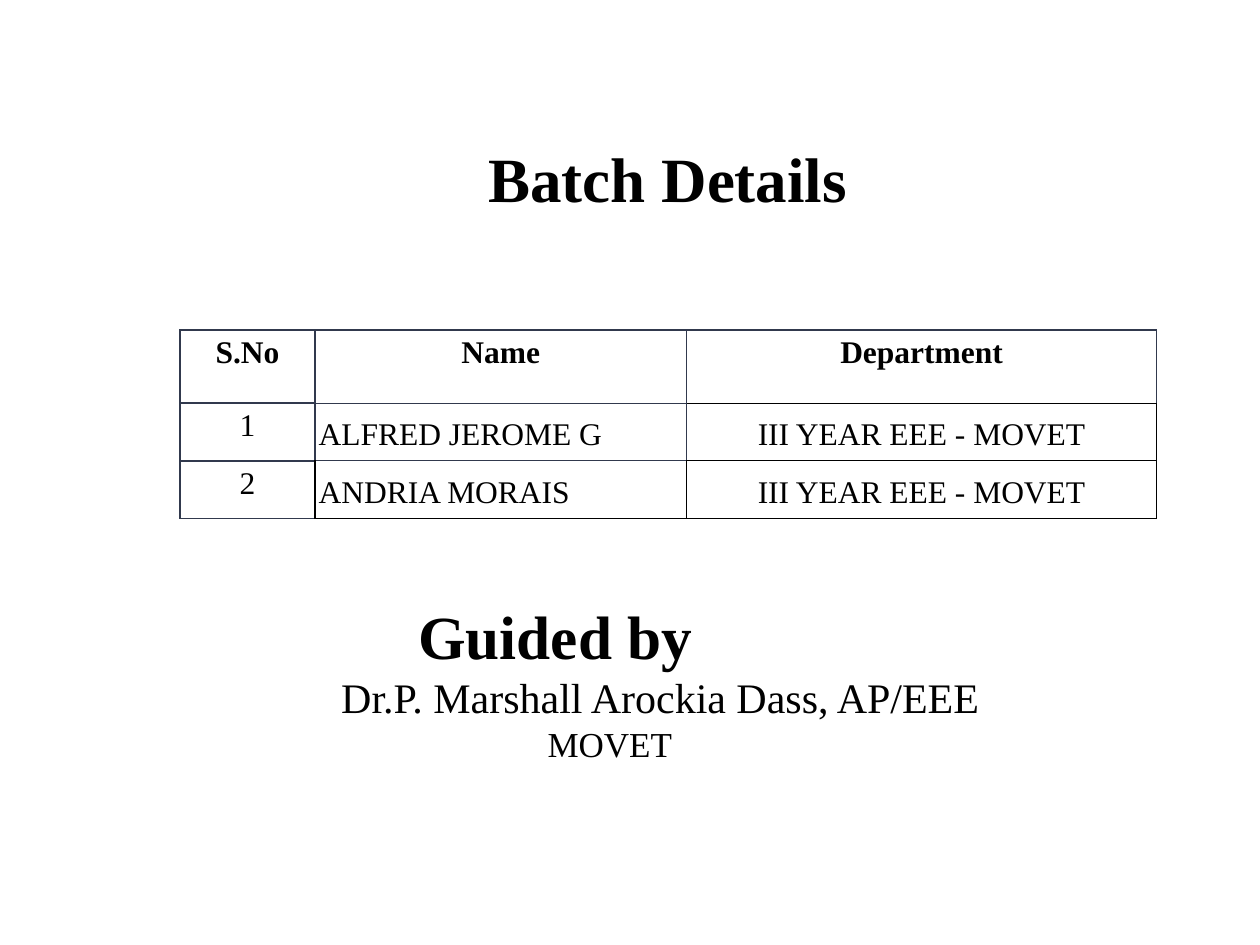
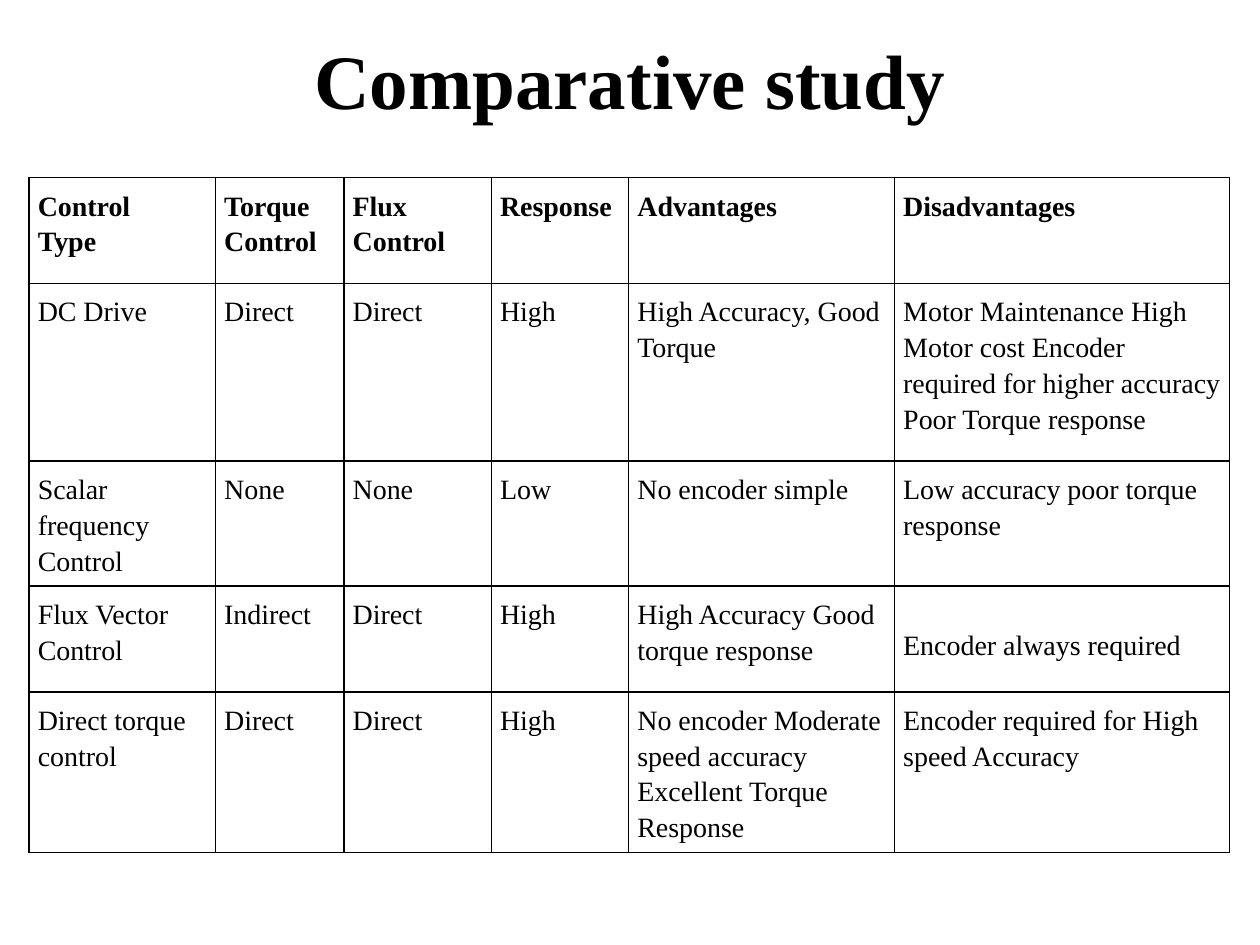
from lxml.etree import SubElement
from pptx import Presentation
from pptx.dml.color import RGBColor
from pptx.enum.text import MSO_ANCHOR as Anchor, MSO_AUTO_SIZE as AutoSize, PP_ALIGN as Align
from pptx.oxml.ns import qn
from pptx.util import Inches, Pt

FONT = "Times New Roman"
BLACK = RGBColor(0x00, 0x00, 0x00)
NAVY = RGBColor(0x31, 0x39, 0x4D)
EDGES = {"N": (NAVY, 1), "n": (NAVY, 0.75), "K": (BLACK, 1), "k": (BLACK, 0.75)}

BATCH_ROWS = [
    ("S.No", "Name", "Department"),
    ("1", "ALFRED JEROME G", "III YEAR EEE - MOVET"),
    ("2", "ANDRIA MORAIS", "III YEAR EEE - MOVET"),
]
BATCH_EDGES = [
    ("NNNN", "NNNn", "NNNk"),
    ("NnNN", "nnnn", "nkkk"),
    ("NkNN", "kknk", "kkkk"),
]
BATCH_WIDTHS = (1.07, 2.95, 3.73)
BATCH_HEIGHTS = (0.58, 0.43, 0.43)

GUIDE_LINES = [
    ("Guided by", 35, True, Align.LEFT, 2.59),
    ("Dr.P. Marshall Arockia Dass, AP/EEE", 24, False, Align.CENTER, 0.8),
    ("MOVET", 20, False, Align.CENTER, 0),
]

STUDY_ROWS = [
    ("Control\nType", "Torque Control", "Flux Control", "Response", "Advantages", "Disadvantages"),
    ("DC Drive", "Direct", "Direct", "High", "High Accuracy, Good Torque",
     "Motor Maintenance High Motor cost Encoder required for higher accuracy Poor Torque response"),
    ("Scalar frequency Control", "None", "None", "Low", "No encoder simple",
     "Low accuracy poor torque response"),
    ("Flux Vector Control", "Indirect", "Direct", "High", "High Accuracy Good torque response",
     "Encoder always required"),
    ("Direct torque control", "Direct", "Direct", "High",
     "No encoder Moderate speed accuracy Excellent Torque Response",
     "Encoder required for High speed Accuracy"),
]
STUDY_WIDTHS = (1.48, 1.02, 1.17, 1.09, 2.11, 2.66)
STUDY_HEIGHTS = (0.84, 1.41, 0.55, 0.84, 1.12)


def write(para, text, size, bold=False, align=Align.LEFT, spacing=1.0):
    """Fill a paragraph with one formatted run."""
    para.alignment = align
    para.line_spacing = spacing
    span = para.add_run()
    span.text = text
    span.font.name = FONT
    span.font.size = Pt(size)
    span.font.bold = bold
    span.font.color.rgb = BLACK


def add_page(deck, title, place, size, spacing=1.0):
    """Add a slide with a centred bold title."""
    page = deck.slides.add_slide(deck.slide_layouts[5])
    box = page.shapes.title
    box.left, box.top, box.width, box.height = map(Inches, place)
    frame = box.text_frame
    frame.auto_size = AutoSize.NONE
    frame.word_wrap = True
    frame.vertical_anchor = Anchor.MIDDLE
    write(frame.paragraphs[0], title, size, True, Align.CENTER, spacing)
    return page


def add_grid(page, left, top, widths, heights):
    """Add a plain table with the given column widths and row heights."""
    table = page.shapes.add_table(
        len(heights), len(widths), Inches(left), Inches(top),
        Inches(sum(widths)), Inches(sum(heights))).table
    table.first_row = table.horz_banding = False
    for column, width in zip(table.columns, widths):
        column.width = Inches(width)
    for row, height in zip(table.rows, heights):
        row.height = Inches(height)
    return table


def fill_cell(cell, text, edges, side, end, anchor=Anchor.TOP, **style):
    """Set the text, margins and left, right, top and bottom edges of a cell."""
    cell.margin_left = cell.margin_right = Inches(side)
    cell.margin_top = cell.margin_bottom = Inches(end)
    cell.vertical_anchor = anchor
    properties = cell._tc.get_or_add_tcPr()
    for name, edge in zip("LRTB", edges):
        color, width = EDGES[edge]
        line = SubElement(properties, qn(f"a:ln{name}"), w=str(int(Pt(width))))
        solid = SubElement(line, qn("a:solidFill"))
        SubElement(solid, qn("a:srgbClr"), val=str(color))
    cell.fill.background()
    frame = cell.text_frame
    for index, part in enumerate(text.split("\n")):
        para = frame.add_paragraph() if index else frame.paragraphs[0]
        write(para, part, **style)


def add_batch_page(deck):
    """Build the batch members and guide slide."""
    page = add_page(deck, "Batch Details", (0.8, 1.11, 9, 0.67), 36, 0.9)
    table = add_grid(page, 1.43, 2.62, BATCH_WIDTHS, BATCH_HEIGHTS)
    for r, (texts, edges) in enumerate(zip(BATCH_ROWS, BATCH_EDGES)):
        for c, text in enumerate(texts):
            detail = r > 0 and c > 0
            name = detail and c == 1
            side, end, anchor = (0.03, 0.07, Anchor.BOTTOM) if detail else (0.1, 0.04, Anchor.TOP)
            fill_cell(table.cell(r, c), text, edges[c], side, end, anchor,
                      size=18, bold=r == 0,
                      align=Align.LEFT if name else Align.CENTER,
                      spacing=1.15 if name else 1.0)

    guide = page.shapes.add_textbox(Inches(0.63), Inches(4.7), Inches(8.42), Inches(0.56))
    frame = guide.text_frame
    frame.word_wrap = True
    for index, (text, size, bold, align, indent) in enumerate(GUIDE_LINES):
        para = frame.add_paragraph() if index else frame.paragraphs[0]
        write(para, text, size, bold, align)
        para._p.get_or_add_pPr().set("marL", str(Inches(indent)))


def add_study_page(deck):
    """Build the drive control comparison slide."""
    page = add_page(deck, "Comparative study", (0.5, 0, 9, 1.25), 44)
    table = add_grid(page, 0.23, 1.41, STUDY_WIDTHS, STUDY_HEIGHTS)
    for r, texts in enumerate(STUDY_ROWS):
        for c, text in enumerate(texts):
            fill_cell(table.cell(r, c), text, "KKKK", 0.07, 0.07,
                      size=16, bold=r == 0, spacing=1.15)
    table.cell(3, 5).margin_top = Inches(0.32)


def main():
    """Build and save the deck."""
    deck = Presentation()
    deck.slide_width, deck.slide_height = Inches(10), Inches(7.5)
    add_batch_page(deck)
    add_study_page(deck)
    deck.save("out.pptx")


if __name__ == "__main__":
    main()
